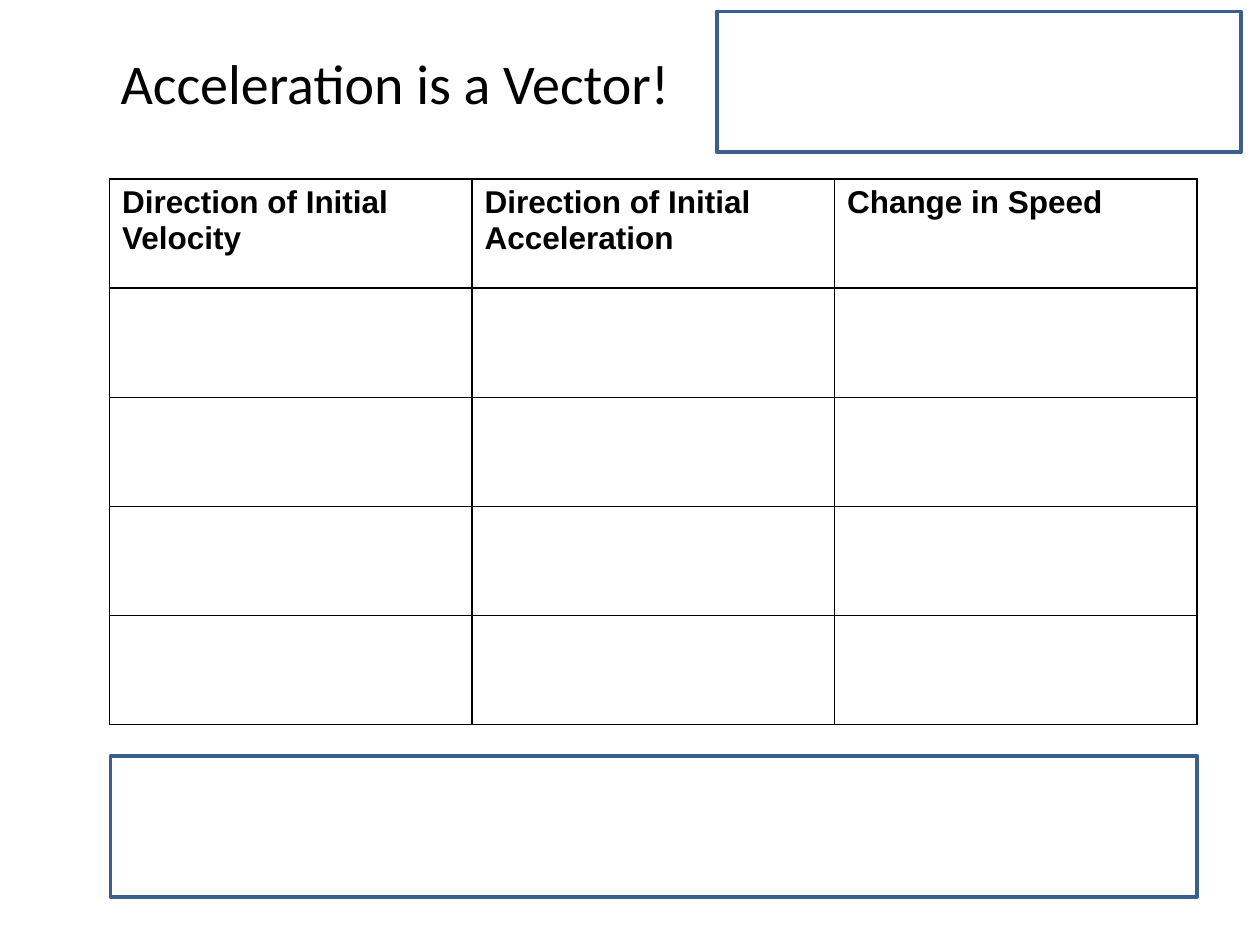
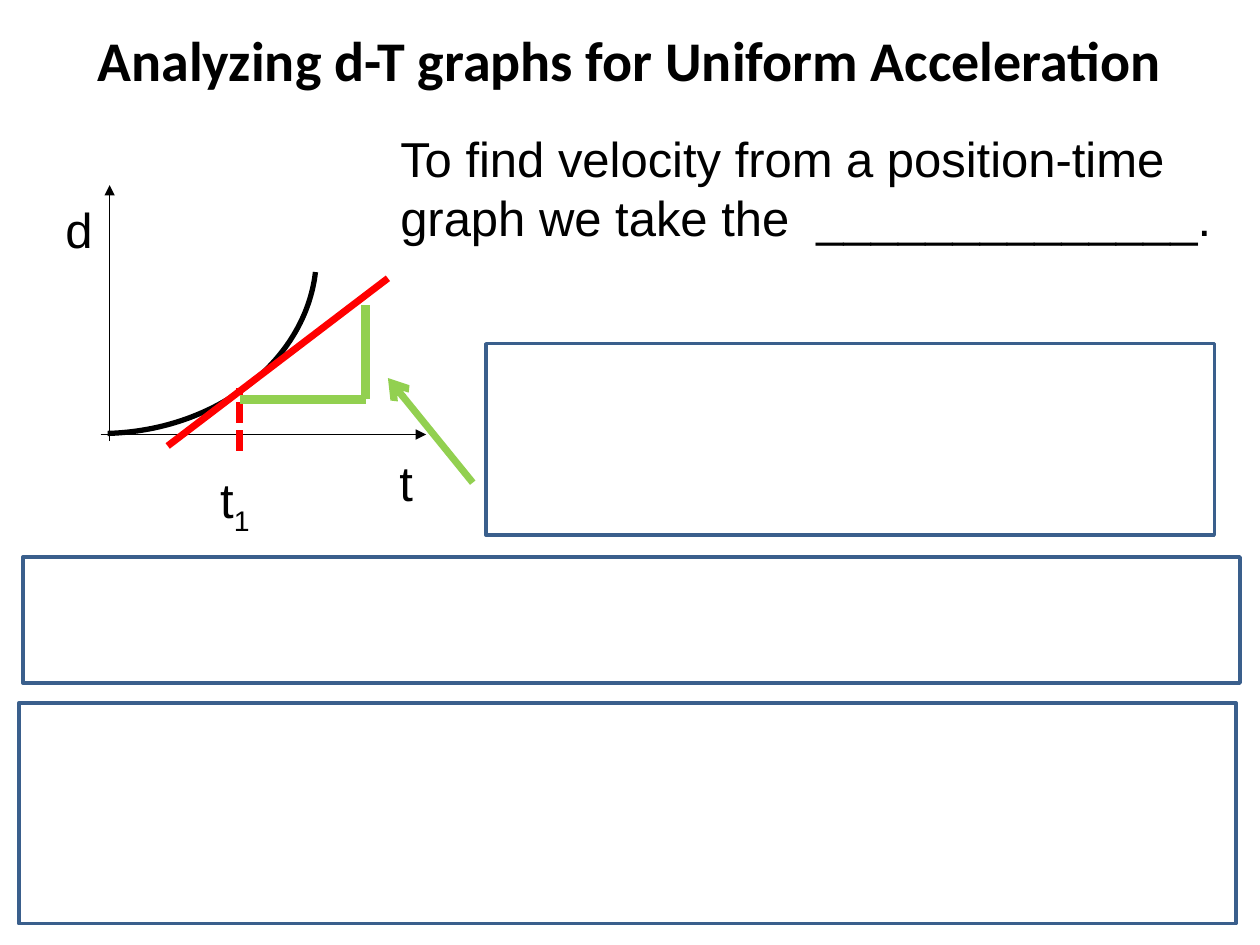
from lxml.etree import SubElement
from pptx import Presentation
from pptx.dml.color import RGBColor
from pptx.enum.dml import MSO_LINE
from pptx.enum.shapes import MSO_CONNECTOR, MSO_SHAPE
from pptx.enum.text import MSO_ANCHOR, PP_ALIGN
from pptx.oxml import parse_xml
from pptx.oxml.ns import nsdecls, qn
from pptx.util import Cm, Pt

BLACK = RGBColor(0x00, 0x00, 0x00)
WHITE = RGBColor(0xFF, 0xFF, 0xFF)
RED = RGBColor(0xFF, 0x00, 0x00)
GREEN = RGBColor(0x92, 0xD0, 0x50)
BLUE = RGBColor(0x3A, 0x5F, 0x8C)


class Deck:
    title_font, title_size = "Calibri", 32
    body_font, body_size, table_size = "Arial", 28, 18

    def __init__(self):
        self.prs = Presentation()
        self.prs.slide_width, self.prs.slide_height = Cm(25.4), Cm(19.05)
        self.s = None

    def slide(self):
        self.s = self.prs.slides.add_slide(self.prs.slide_layouts[6])

    def style(self, p, font, size, bold=False):
        for r in p.runs:
            r.font.name = font
            r.font.size = Pt(size)
            r.font.bold = bold
            r.font.color.rgb = BLACK

    def box(self, x, y, w, h, text):
        tf = self.s.shapes.add_textbox(Cm(x), Cm(y), Cm(w), Cm(h)).text_frame
        tf.word_wrap = True
        tf.text = text
        return tf

    def title(self, x, y, w, h, text, bold=False):
        tf = self.box(x, y, w, h, text)
        tf.vertical_anchor = MSO_ANCHOR.MIDDLE
        p = tf.paragraphs[0]
        p.alignment = PP_ALIGN.CENTER
        self.style(p, self.title_font, self.title_size, bold)

    def text(self, x, y, w, h, text, subscript=""):
        p = self.box(x, y, w, h, text).paragraphs[0]
        if subscript:
            r = p.add_run()
            r.text = subscript
            r._r.get_or_add_rPr().set("baseline", "-25000")
        self.style(p, self.body_font, self.body_size)

    def outline(self, kind, x, y, w, h, color, width):
        sp = self.s.shapes.add_shape(kind, Cm(x), Cm(y), Cm(w), Cm(h))
        sp.shadow.inherit = False
        sp.fill.background()
        sp.line.color.rgb = color
        sp.line.width = Pt(width)
        return sp

    def answer(self, x, y, w, h):
        self.outline(MSO_SHAPE.RECTANGLE, x, y, w, h, BLUE, 2)

    def arc(self, x, y, w, h, start, end):
        sp = self.outline(MSO_SHAPE.ARC, x, y, w, h, BLACK, 3)
        sp.adjustments[0], sp.adjustments[1] = start, end

    def line(self, start, end, color, width, dash=None, arrow=None):
        c = self.s.shapes.add_connector(
            MSO_CONNECTOR.STRAIGHT, *(Cm(v) for v in (*start, *end)))
        c.line.color.rgb = color
        c.line.width = Pt(width)
        if dash:
            c.line.dash_style = dash
        if arrow:
            SubElement(c.line._ln, qn("a:tailEnd"), type=arrow)
        SubElement(c._element.spPr, qn("a:effectLst"))

    def table(self, x, y, w, h, headers, rows):
        shape = self.s.shapes.add_table(
            rows, len(headers), Cm(x), Cm(y), Cm(w), Cm(h))
        table = shape.table
        table.first_row = table.horz_banding = False
        for cell in table.iter_cells():
            tc_pr = cell._tc.get_or_add_tcPr()
            for side in "LRTB":
                tc_pr.append(parse_xml(
                    f'<a:ln{side} {nsdecls("a")} w="{Pt(1)}"><a:solidFill>'
                    f'<a:srgbClr val="{BLACK}"/></a:solidFill></a:ln{side}>'))
            cell.fill.solid()
            cell.fill.fore_color.rgb = WHITE
        for cell, header in zip(table.rows[0].cells, headers):
            cell.text = header
            self.style(cell.text_frame.paragraphs[0],
                       self.body_font, self.table_size, True)


def vector_slide(deck):
    deck.slide()
    deck.title(0.2, 0.28, 15.54, 2.74, "Acceleration is a Vector!")
    deck.answer(14.45, 0.23, 10.57, 2.84)
    deck.answer(2.23, 15.24, 21.9, 2.84)
    deck.table(2.21, 3.61, 21.92, 11, [
        "Direction of Initial Velocity",
        "Direction of Initial Acceleration",
        "Change in Speed"], 5)


def graph_slide(deck):
    deck.slide()
    deck.title(0.53, 0.43, 24.33, 1.52,
               "Analyzing d-T graphs for Uniform Acceleration", True)
    deck.arc(-2.31, 1.55, 8.69, 7.19, 2.7, 52.7)
    deck.line((2.21, 8.89), (2.21, 3.73), BLACK, 0.75, arrow="triangle")
    deck.line((2.03, 8.76), (8.59, 8.76), BLACK, 0.75, arrow="triangle")
    deck.text(7.82, 2.46, 17.58, 2.64,
              "To find velocity from a position-time graph we take the  ______________.")
    deck.text(1.07, 3.89, 1.14, 1.45, "d")
    deck.text(4.19, 9.35, 3.61, 1.45, "t", "1")
    deck.text(7.8, 8.99, 3.61, 1.45, "t")

    touch, corner, top = (4.83, 8.05), (7.37, 8.05), (7.37, 6.15)
    deck.line((3.38, 8.99), (7.82, 5.61), RED, 4)
    deck.line((4.83, 9.09), (4.83, 7.82), RED, 4, dash=MSO_LINE.SQUARE_DOT)
    deck.line(top, corner, GREEN, 5)
    deck.line(touch, corner, GREEN, 5)
    deck.line((9.53, 9.73), (7.82, 7.62), GREEN, 4, arrow="arrow")

    deck.answer(9.8, 6.93, 14.68, 3.86)
    deck.answer(0.46, 11.23, 24.54, 2.54)
    deck.answer(0.38, 14.17, 24.54, 4.45)


def main():
    deck = Deck()
    vector_slide(deck)
    graph_slide(deck)
    deck.prs.save("out.pptx")


if __name__ == "__main__":
    main()
